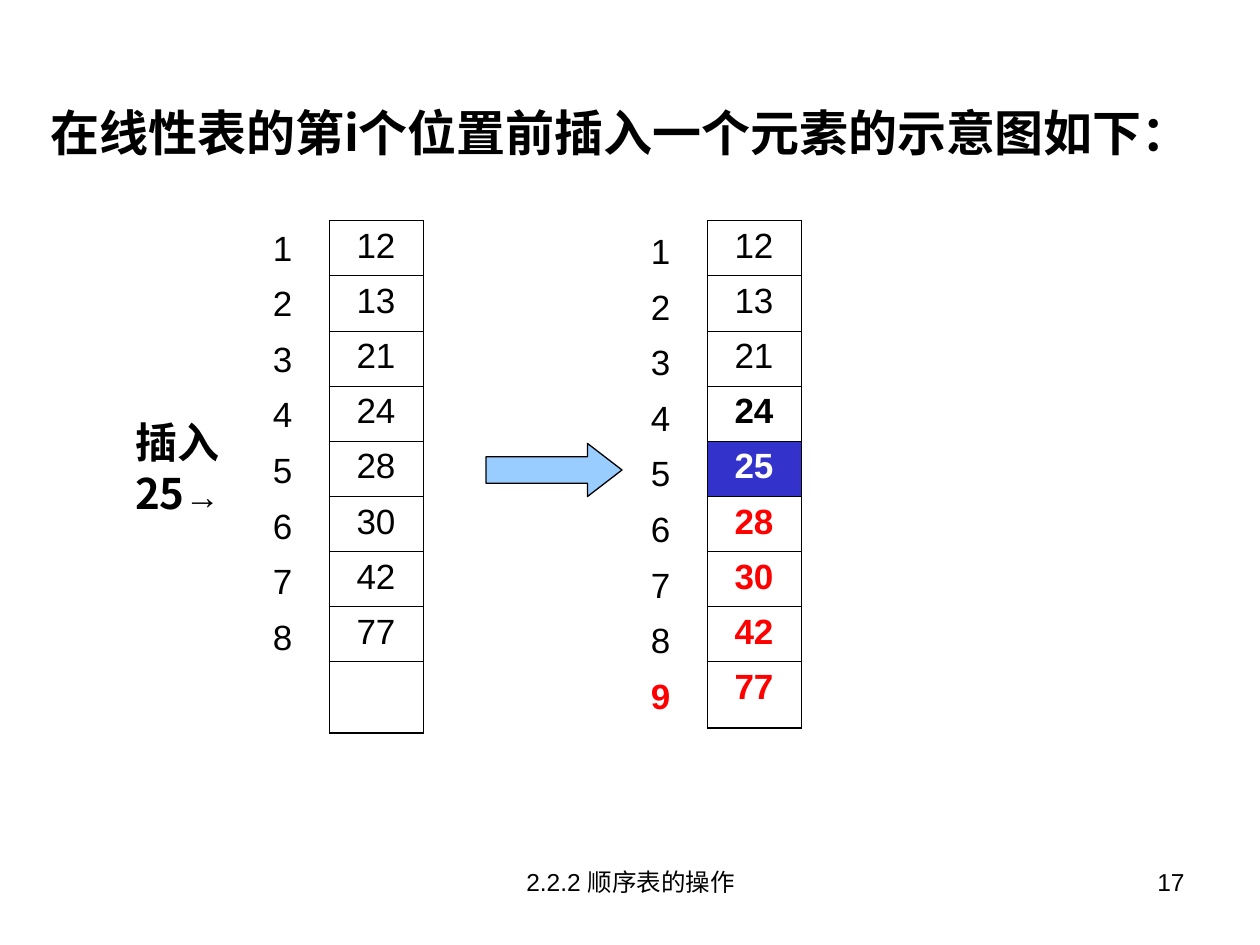
from dataclasses import dataclass

from lxml import etree
from pptx import Presentation
from pptx.dml.color import RGBColor
from pptx.enum.shapes import MSO_SHAPE
from pptx.enum.text import MSO_ANCHOR, PP_ALIGN
from pptx.oxml.ns import qn
from pptx.util import Cm, Pt

RIGHT_ARROW = MSO_SHAPE.RIGHT_ARROW
TOP, MIDDLE = MSO_ANCHOR.TOP, MSO_ANCHOR.MIDDLE
CENTER, RIGHT = PP_ALIGN.CENTER, PP_ALIGN.RIGHT
PLAIN_TABLE_STYLE = "{2D5ABB26-0587-4C30-8999-92F81FD0307C}"
TITLE_ONLY = 5


@dataclass(frozen=True)
class Theme:
    latin: str = "Arial"
    chinese: str = "Noto Sans CJK SC"
    black: str = "000000"
    white: str = "FFFFFF"
    moved: str = "FF0000"
    inserted: str = "3333CC"
    arrow: str = "99CCFF"
    title_size: float = 28
    callout_size: float = 24
    cell_size: float = 20
    footer_size: float = 14
    cell_line: float = 0.45
    closing_line: float = 1.08
    arrow_line: float = 0.75


@dataclass(frozen=True)
class Entry:
    """One table cell: its text and how it stands out."""
    text: str
    color: str = Theme.black
    bold: bool = False
    fill: str = Theme.white


class SlideBuilder:
    def __init__(self, slide, theme):
        self.slide = slide
        self.theme = theme

    def add_run(self, paragraph, text, size, color=None, bold=False, font=None):
        run = paragraph.add_run()
        run.text = text
        run.font.size = Pt(size)
        run.font.bold = bold
        run.font.name = font or self.theme.latin
        run.font.color.rgb = RGBColor.from_string(color or self.theme.black)
        east_asian = etree.Element(qn("a:ea"), typeface=self.theme.chinese)
        run.font._element.find(qn("a:latin")).addnext(east_asian)

    def title(self, text, left, top, width, height):
        shape = self.slide.shapes.title
        shape.left, shape.top = Cm(left), Cm(top)
        shape.width, shape.height = Cm(width), Cm(height)
        frame = shape.text_frame
        frame.word_wrap = False
        frame.vertical_anchor = MIDDLE
        paragraph = frame.paragraphs[0]
        paragraph.alignment = CENTER
        self.add_run(paragraph, text, self.theme.title_size, bold=True,
                     font=self.theme.chinese)

    def text_box(self, left, top, width, height, alignment=CENTER):
        """Add an empty wrapped box and return its text frame."""
        box = self.slide.shapes.add_textbox(Cm(left), Cm(top), Cm(width), Cm(height))
        frame = box.text_frame
        frame.word_wrap = True
        frame.vertical_anchor = TOP
        frame.paragraphs[0].alignment = alignment
        return frame

    def border(self, cell, sides, width):
        properties = cell._tc.get_or_add_tcPr()
        for position, side in enumerate(sides):
            line = etree.Element(qn(f"a:ln{side}"), w=str(int(Pt(width))))
            fill = etree.SubElement(line, qn("a:solidFill"))
            etree.SubElement(fill, qn("a:srgbClr"), val=self.theme.black)
            properties.insert(position, line)

    def column(self, entries, left, top, width, row_height, last_height, boxed):
        """Add a one-column table, with or without filled and ruled cells."""
        count = len(entries)
        height = row_height * (count - 1) + last_height
        frame = self.slide.shapes.add_table(
            count, 1, Cm(left), Cm(top), Cm(width), Cm(height))
        table = frame.table
        table.first_row = table.horz_banding = False
        table._tbl.tblPr.find(qn("a:tableStyleId")).text = PLAIN_TABLE_STYLE
        for index, entry in enumerate(entries):
            is_last = index == count - 1
            table.rows[index].height = Cm(last_height if is_last else row_height)
            cell = table.cell(index, 0)
            if boxed:
                cell.fill.solid()
                cell.fill.fore_color.rgb = RGBColor.from_string(entry.fill)
                self.border(cell, "LRT", self.theme.cell_line)
                bottom = self.theme.closing_line if is_last else self.theme.cell_line
                cell_borders = cell._tc.tcPr
                self.border(cell, "B", bottom)
                cell_borders.insert(3, cell_borders[0])
            else:
                cell.fill.background()
            if entry.text:
                paragraph = cell.text_frame.paragraphs[0]
                paragraph.alignment = CENTER
                self.add_run(paragraph, entry.text, self.theme.cell_size,
                             entry.color, entry.bold)

    def arrow(self, left, top, width, height):
        shape = self.slide.shapes.add_shape(
            RIGHT_ARROW, Cm(left), Cm(top), Cm(width), Cm(height))
        shape.shadow.inherit = False
        shape.adjustments[0], shape.adjustments[1] = 0.5, 0.65
        shape.fill.solid()
        shape.fill.fore_color.rgb = RGBColor.from_string(self.theme.arrow)
        shape.line.color.rgb = RGBColor.from_string(self.theme.black)
        shape.line.width = Pt(self.theme.arrow_line)


def main():
    presentation = Presentation()
    presentation.slide_width, presentation.slide_height = Cm(25.4), Cm(19.05)
    slide = presentation.slides.add_slide(presentation.slide_layouts[TITLE_ONLY])
    theme = Theme()
    builder = SlideBuilder(slide, theme)

    builder.title("在线性表的第i个位置前插入一个元素的示意图如下：", 0.38, 1.93, 24.26, 1.45)

    # List contents before and after the insertion
    kept, shifted = ["12", "13", "21"], ["28", "30", "42", "77"]
    before = [Entry(text) for text in [*kept, "24", *shifted, ""]]
    after = [Entry(text) for text in kept]
    after.append(Entry("24", bold=True))
    after.append(Entry("25", theme.white, True, theme.inserted))
    after += [Entry(text, theme.moved, True) for text in shifted]
    builder.column(before, 6.63, 4.45, 1.9, 1.11, 1.44, boxed=True)
    builder.column(after, 14.25, 4.45, 1.9, 1.11, 1.34, boxed=True)

    # Position numbers beside each list
    positions = [Entry(str(number)) for number in range(1, 9)]
    builder.column([*positions, Entry("")], 5.16, 4.5, 1.07, 1.12, 1.12, boxed=False)
    builder.column([*positions, Entry("9", theme.moved, True)],
                   12.78, 4.57, 1.07, 1.12, 1.12, boxed=False)

    # Insertion callout, its wider right margin wraps the number
    callout = builder.text_box(1.7, 8.28, 4.01, 1.27)
    callout.margin_right = Cm(0.5)
    paragraph = callout.paragraphs[0]
    builder.add_run(paragraph, "插入25", theme.callout_size, bold=True, font=theme.chinese)
    builder.add_run(paragraph, "→", theme.cell_size, bold=True)

    builder.arrow(9.8, 8.94, 2.74, 1.07)

    # Footer and page number
    footer = builder.text_box(8.69, 17.35, 8.05, 1.32)
    builder.add_run(footer.paragraphs[0], "2.2.2 顺序表的操作", theme.footer_size)
    page_number = builder.text_box(18.21, 17.35, 5.92, 1.32, RIGHT)
    builder.add_run(page_number.paragraphs[0], "17", theme.footer_size)

    presentation.save("out.pptx")


if __name__ == "__main__":
    main()
